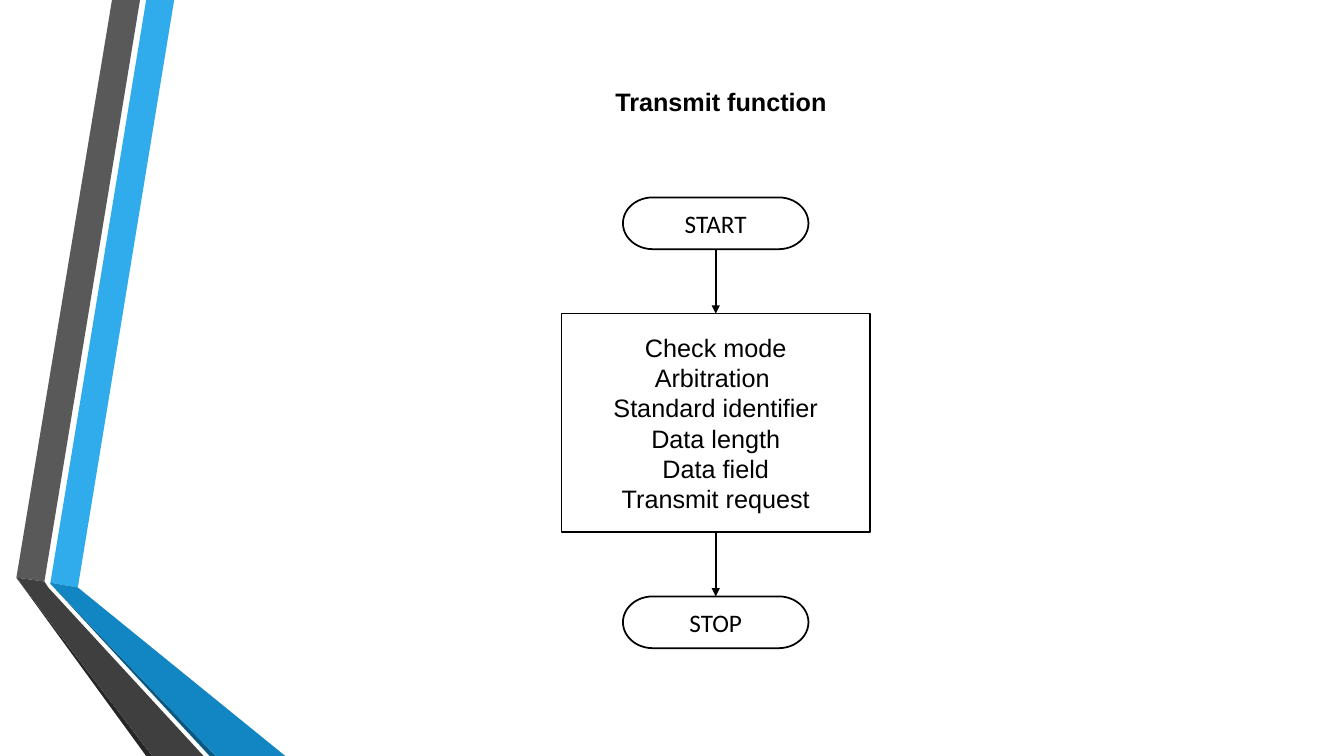
from lxml.etree import SubElement
from pptx import Presentation
from pptx.dml.color import RGBColor
from pptx.enum.shapes import MSO_CONNECTOR as Connector, MSO_SHAPE as Shape
from pptx.enum.text import MSO_ANCHOR as Anchor, PP_ALIGN as Align
from pptx.oxml.ns import qn
from pptx.util import Pt

BLACK = RGBColor(0x00, 0x00, 0x00)
WHITE = RGBColor(0xFF, 0xFF, 0xFF)
BLUE = RGBColor(0x30, 0xAC, 0xEC)
BLUE_FOLD = RGBColor(0x11, 0x86, 0xC3)
BLUE_EDGE = RGBColor(0x0B, 0x59, 0x82)
GREY = RGBColor(0x59, 0x59, 0x59)
GREY_FOLD = RGBColor(0x3F, 0x3F, 0x3F)
GREY_EDGE = RGBColor(0x26, 0x26, 0x26)

SLIDE_WIDTH, SLIDE_HEIGHT = 960, 540
LINE_WIDTH = 1.25
TOP, BOTTOM = 0, 2

RIBBON_FACES = [
    (BLUE, [(36, 416.2), (55.6, 419.6), (124.4, 0), (104.4, 0)]),
    (GREY, [(100, 0), (80, 0), (11.7, 412.6), (31.7, 415.4)]),
    (GREY_EDGE, [(11.7, 412.6), (104.4, 540), (108.7, 540)]),
    (BLUE_EDGE, [(36, 416.9), (149.8, 540), (154.1, 540)]),
    (BLUE_FOLD, [(36, 416.2), (36, 416.9), (154.1, 540), (203.8, 540), (55.6, 419.6)]),
    (GREY_FOLD, [(145.4, 540), (34.6, 419.8), (31.7, 415.4), (11.7, 412.6), (108.7, 540)]),
]

TRANSMIT_STEPS = [
    "Check mode",
    "Arbitration ",
    "Standard identifier",
    "Data length",
    "Data field",
    "Transmit request",
]


def write_text(frame, text, font="Arial", size=18, bold=False, anchor=Anchor.MIDDLE):
    frame.word_wrap = True
    frame.vertical_anchor = anchor
    frame.text = text
    for paragraph in frame.paragraphs:
        paragraph.alignment = Align.CENTER
        for run in paragraph.runs:
            run.font.name = font
            run.font.size = Pt(size)
            run.font.bold = bold
            run.font.color.rgb = BLACK


def draw_ribbons(slide, left, top):
    for color, corners in RIBBON_FACES:
        points = [(Pt(left + x), Pt(top + y)) for x, y in corners]
        builder = slide.shapes.build_freeform(*points[0], scale=1)
        builder.add_line_segments(points[1:], close=True)
        face = builder.convert_to_shape()
        face.shadow.inherit = False
        face.fill.solid()
        face.fill.fore_color.rgb = color
        face.line.fill.background()


def draw_heading(slide, left, top, width, height):
    heading = slide.shapes.add_textbox(Pt(left), Pt(top), Pt(width), Pt(height))
    write_text(heading.text_frame, "Transmit function", bold=True, anchor=Anchor.TOP)


def add_step(slide, preset, left, top, width, height, text, font):
    step = slide.shapes.add_shape(preset, Pt(left), Pt(top), Pt(width), Pt(height))
    step.shadow.inherit = False
    step.fill.solid()
    step.fill.fore_color.rgb = WHITE
    step.line.color.rgb = BLACK
    step.line.width = Pt(LINE_WIDTH)
    write_text(step.text_frame, text, font=font)
    return step


def add_arrow(slide, upper, lower):
    arrow = slide.shapes.add_connector(Connector.STRAIGHT, 0, 0, 0, 0)
    arrow.begin_connect(upper, BOTTOM)
    arrow.end_connect(lower, TOP)
    arrow.line.color.rgb = BLACK
    arrow.line.width = Pt(LINE_WIDTH)
    SubElement(arrow.line._get_or_add_ln(), qn("a:tailEnd"), type="triangle")
    SubElement(arrow._element.spPr, qn("a:effectLst"))


def draw_flow(slide, left, top, width, height):
    end_width, end_height, gap = 132.5, 37, 46
    end_left = left + (width - end_width) / 2
    process_top = top + end_height + gap
    process_height = height - 2 * (end_height + gap)
    stop_top = top + height - end_height

    start = add_step(slide, Shape.FLOWCHART_TERMINATOR, end_left, top,
                     end_width, end_height, "START", "Calibri")
    process = add_step(slide, Shape.FLOWCHART_PROCESS, left, process_top,
                       width, process_height, "\n".join(TRANSMIT_STEPS), "Arial")
    stop = add_step(slide, Shape.FLOWCHART_TERMINATOR, end_left, stop_top,
                    end_width, end_height, "STOP", "Calibri")
    add_arrow(slide, start, process)
    add_arrow(slide, process, stop)


def main():
    deck = Presentation()
    deck.slide_width, deck.slide_height = Pt(SLIDE_WIDTH), Pt(SLIDE_HEIGHT)
    slide = deck.slides.add_slide(deck.slide_layouts[6])
    draw_ribbons(slide, 0, 0)
    draw_flow(slide, 401, 141, 220.5, 322)
    draw_heading(slide, 316, 57.8, 398, 29)
    deck.save("out.pptx")


if __name__ == "__main__":
    main()
